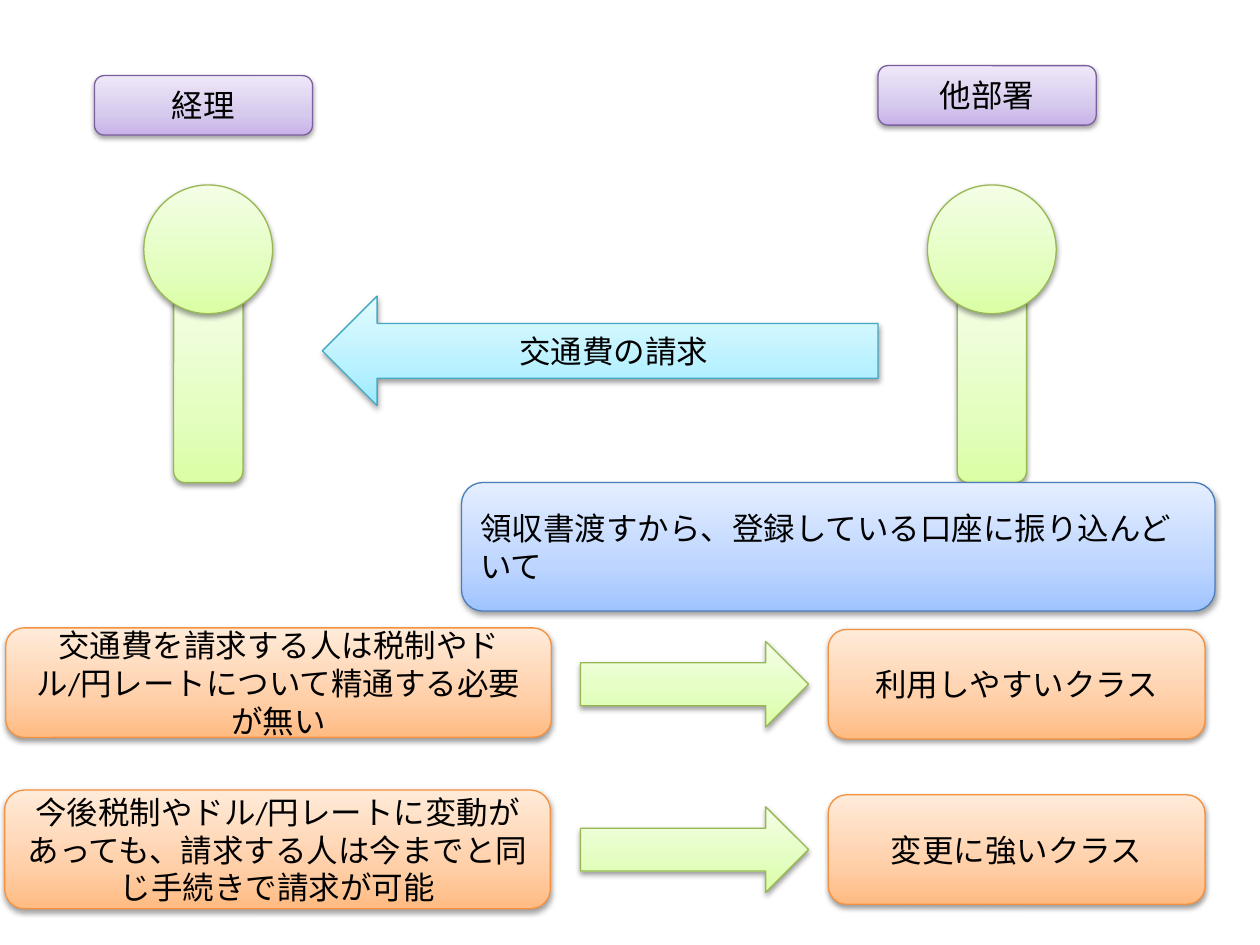
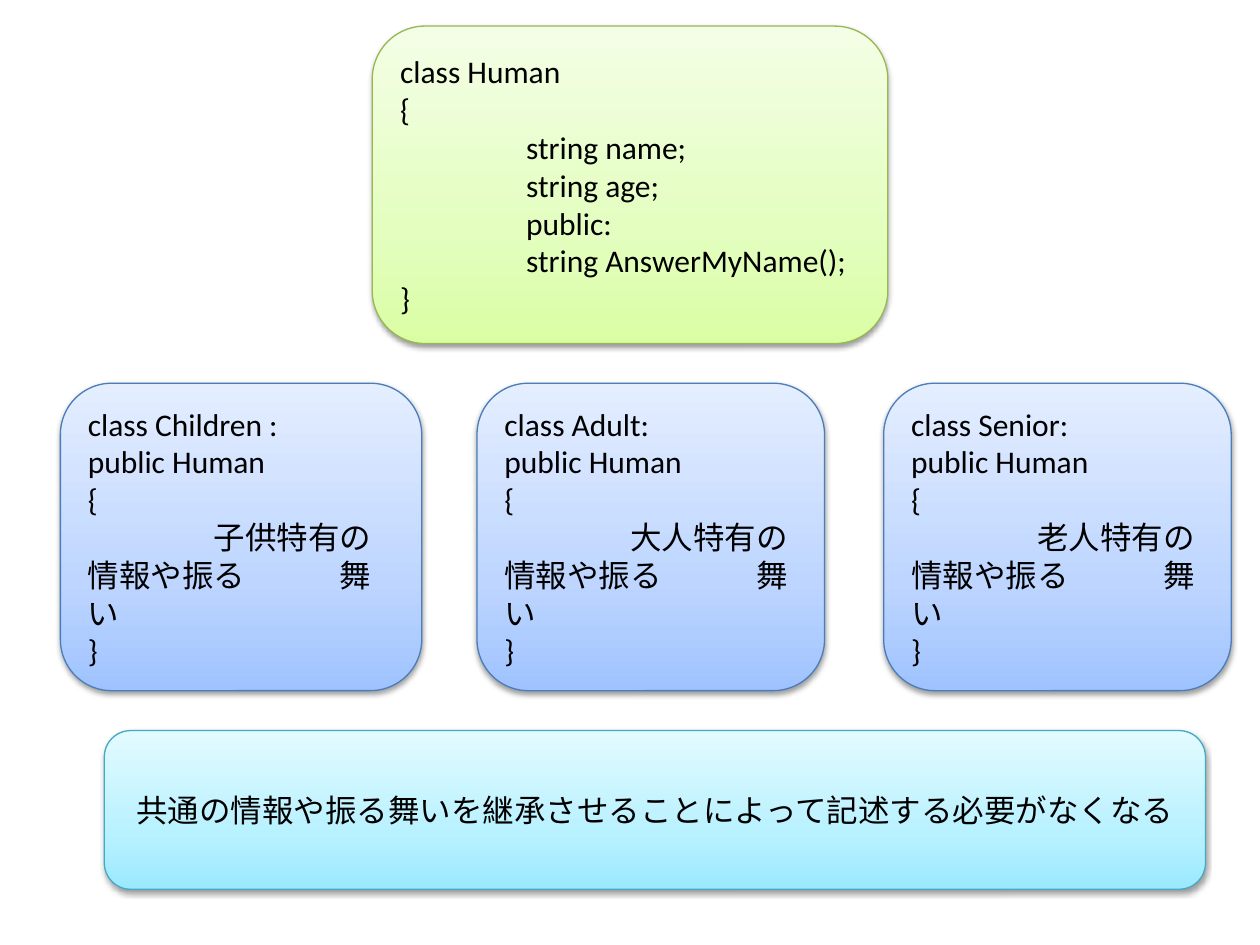
from copy import deepcopy
from collections import namedtuple

from pptx import Presentation
from pptx.dml.color import RGBColor
from pptx.enum.shapes import MSO_SHAPE as SHAPE
from pptx.enum.text import MSO_ANCHOR as ANCHOR, PP_ALIGN as ALIGN
from pptx.oxml import parse_xml
from pptx.oxml.ns import nsdecls, qn
from pptx.util import Pt

FONT = "Calibri"
TAB_SIZE = Pt(72)
BLACK = RGBColor(0x00, 0x00, 0x00)

# Each palette: gradient from the bottom up, then the outline
Palette = namedtuple("Palette", "bottom middle top line")


def palette(*codes):
    return Palette(*map(RGBColor.from_string, codes))


GREEN = palette("DAFEA4", "E3FEBF", "F4FEE6", "97B853")
CYAN = palette("9BE9FF", "B8F1FF", "E2FBFF", "45A9C4")
PURPLE = palette("C8B2E9", "D6CAED", "EFE8FA", "7C5F9F")
BLUE = palette("9FC3FF", "BDD5FF", "E4EEFF", "4A7DBA")
ORANGE = palette("FFBB82", "FFCFA8", "FFEBD9", "F5913F")

SHADOW = (
    f'<a:effectLst {nsdecls("a")}>'
    '<a:outerShdw blurRad="40000" dist="20000" dir="5400000" rotWithShape="0">'
    '<a:srgbClr val="000000"><a:alpha val="38000"/></a:srgbClr>'
    '</a:outerShdw></a:effectLst>'
)


def paint(sp, colors):
    """Three-stop upward gradient, thin outline and soft shadow."""
    sp.fill.gradient()
    sp.fill.gradient_angle = 90
    stops = sp._element.spPr.find(".//" + qn("a:gsLst"))
    stops.insert(1, deepcopy(stops[0]))
    for stop, place, color in zip(sp.fill.gradient_stops, (0, 0.35, 1), colors):
        stop.position = place
        stop.color.rgb = color
    sp.line.color.rgb = colors.line
    sp.line.width = Pt(0.75)
    sp._element.spPr.append(parse_xml(SHADOW))


def add_block(s, box, colors, text="", kind=SHAPE.ROUNDED_RECTANGLE,
              align=ALIGN.CENTER):
    sp = s.shapes.add_shape(kind, *map(Pt, box))
    paint(sp, colors)
    if text:
        tf = sp.text_frame
        tf.word_wrap = True
        tf.vertical_anchor = ANCHOR.MIDDLE
        tf.text = text
        for p in tf.paragraphs:
            p._p.get_or_add_pPr().set("defTabSz", str(int(TAB_SIZE)))
            p.alignment = align
            p.font.name, p.font.size = FONT, Pt(18)
            p.font.color.rgb = BLACK


# Slide 1: expense claim between two departments
def add_person(s, left, label_top, department):
    width, head, body = 124.6, 73.6, 39.6
    center = left + 65
    add_block(s, (center - body / 2, 167.8, body, 108), GREEN)
    add_block(s, (center - head / 2, 105.7, head, head), GREEN,
              kind=SHAPE.OVAL)
    add_block(s, (left, label_top, width, 34), PURPLE, department)


def add_benefit(s, reason_box, middle, reason, outcome):
    """A reason, an arrow and the resulting quality, in one row."""
    arrow_h, outcome_h = 49, 62.6
    add_block(s, reason_box, ORANGE, reason)
    add_block(s, (331.7, middle - arrow_h / 2, 130.3, arrow_h), GREEN,
              kind=SHAPE.RIGHT_ARROW)
    add_block(s, (473.3, middle - outcome_h / 2, 215.3, outcome_h), ORANGE,
              outcome)


def claim_slide(s):
    add_person(s, 54, 43.2, "経理")
    add_person(s, 501.8, 37.5, "他部署")
    add_block(s, (184.2, 169.2, 317.5, 62.6), CYAN, "交通費の請求",
              SHAPE.LEFT_ARROW)
    add_block(s, (263.7, 275.7, 430.6, 73.5), BLUE,
              "領収書渡すから、登録している口座に振り込んどいて",
              align=ALIGN.LEFT)
    add_benefit(s, (3.3, 358.8, 311.8, 62.6), 391,
                "交通費を請求する人は税制やドル/円レートについて精通する必要が無い",
                "利用しやすいクラス")
    add_benefit(s, (2.7, 451.5, 311.8, 67.8), 485.5,
                "今後税制やドル/円レートに変動があっても、請求する人は今までと同じ手続きで請求が可能",
                "変更に強いクラス")


# Slide 2: base class, derived classes and the conclusion
BASE_CODE = """class Human
{
\tstring name;
\tstring age;
\tpublic:
\tstring AnswerMyName();
}"""

DERIVED = [
    # left, width, class heading, whom it describes
    (34.5, 206.5, "class Children :", "子供"),
    (272.6, 198.6, "class Adult:", "大人"),
    (505, 198.6, "class Senior:", "老人"),
]


def add_derived(s, left, width, heading, who):
    code = f"{heading}\npublic Human\n{{\v\t{who}特有の\t情報や振る\t舞い\n}}"
    add_block(s, (left, 219, width, 175.7), BLUE, code, align=ALIGN.LEFT)


def inheritance_slide(s):
    add_block(s, (212.7, 14.9, 294.6, 181.4), GREEN, BASE_CODE,
              align=ALIGN.LEFT)
    for derived in DERIVED:
        add_derived(s, *derived)
    add_block(s, (59.6, 417.5, 629.3, 90.7), CYAN,
              "共通の情報や振る舞いを継承させることによって記述する必要がなくなる")


def main():
    prs = Presentation()
    prs.slide_width, prs.slide_height = Pt(720), Pt(540)
    blank = prs.slide_layouts[6]
    for build in (claim_slide, inheritance_slide):
        build(prs.slides.add_slide(blank))
    prs.save("out.pptx")


if __name__ == "__main__":
    main()
